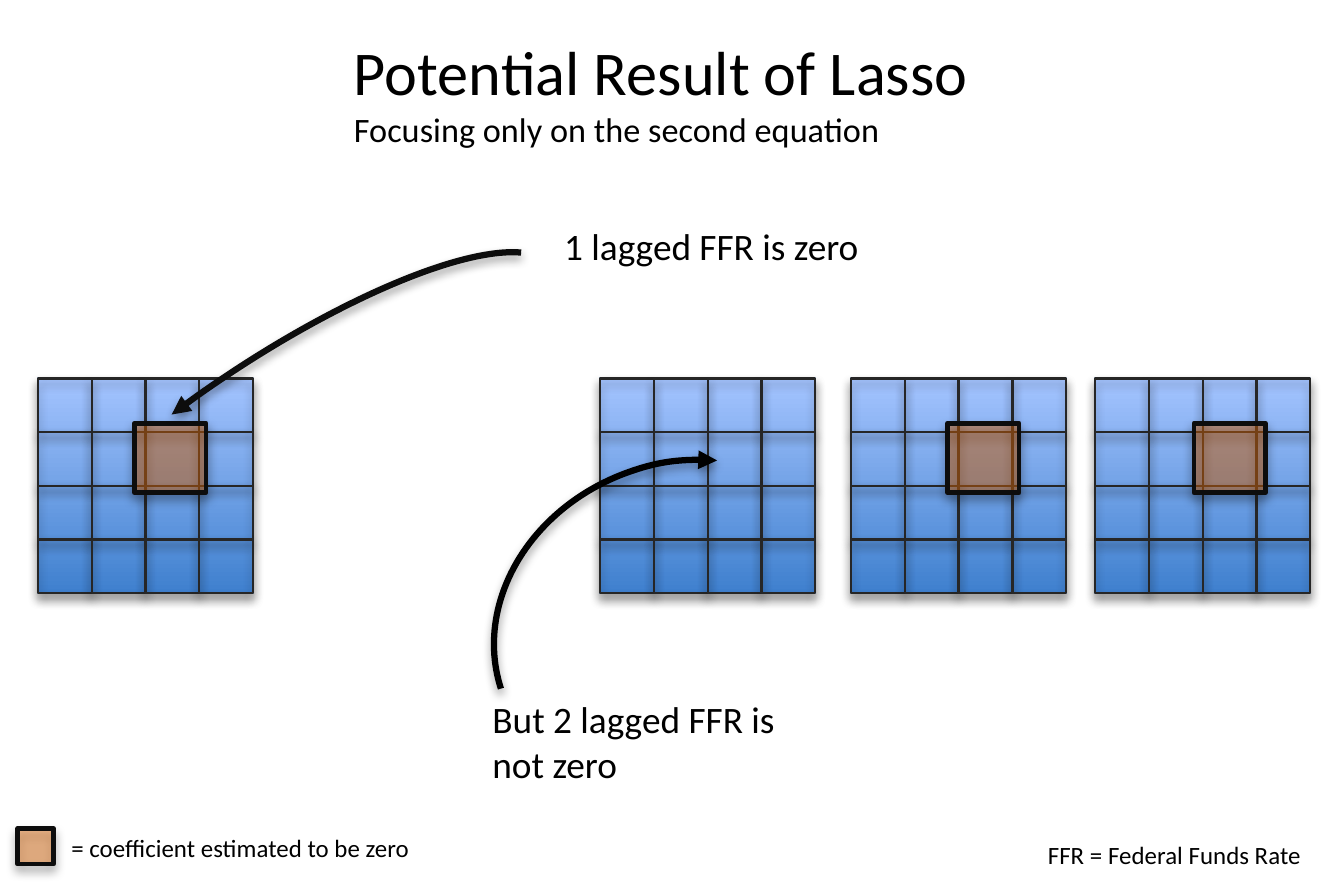
from lxml import etree
from pptx import Presentation
from pptx import util as u
from pptx.dml.color import RGBColor
from pptx.enum import shapes, text
from pptx.oxml.ns import qn

COLORS = {
    "text": "000000",
    "grid_low": "3F80CE",
    "grid_high": "A4C4FF",
    "grid_edge": "4B7EBC",
    "cell_edge": "262626",
    "zero_fill": "E46C0A",
    "zero_edge": "0D0D0D",
}
FONT = "Calibri"
CELL = 0.24
GRID_TOP = 1.69
GRID_LEFTS = [0.17, 2.68, 3.8, 4.89]
ZERO_LEFTS = [5.33, 4.23, 0.6]


def color(name):
    return RGBColor.from_string(COLORS[name])


def inches(*lengths):
    return [u.Inches(length) for length in lengths]


class SlideBuilder:
    def __init__(self, slide):
        self.slide = slide

    def outline(self, shape, edge, width, distance=1.8, alpha=35):
        shape.line.color.rgb = color(edge)
        shape.line.width = u.Pt(width)
        shape.shadow.inherit = False
        effects = shape._element.spPr.find(qn("a:effectLst"))
        shadow = etree.SubElement(
            effects, qn("a:outerShdw"), blurRad=str(u.Pt(3.1)),
            dist=str(u.Pt(distance)), dir="5400000", rotWithShape="0")
        tint = etree.SubElement(shadow, qn("a:srgbClr"), val=COLORS["text"])
        etree.SubElement(tint, qn("a:alpha"), val=str(alpha * 1000))

    def grid(self, left):
        members = self.slide.shapes.add_group_shape().shapes
        back = members.add_shape(
            shapes.MSO_SHAPE.RECTANGLE, *inches(left, GRID_TOP, 4 * CELL, 4 * CELL))
        back.fill.gradient()
        back.fill.gradient_angle = 90
        for stop, name in zip(back.fill.gradient_stops, ("grid_low", "grid_high")):
            stop.color.rgb = color(name)
        self.outline(back, "grid_edge", 0.75)
        for row in range(4):
            for column in range(4):
                cell = members.add_shape(
                    shapes.MSO_SHAPE.RECTANGLE,
                    *inches(left + column * CELL, GRID_TOP + row * CELL, CELL, CELL))
                cell.fill.background()
                self.outline(cell, "cell_edge", 0.75)

    def zero_marker(self, left, top, width, height):
        marker = self.slide.shapes.add_shape(
            shapes.MSO_SHAPE.RECTANGLE, *inches(left, top, width, height))
        marker.fill.solid()
        marker.fill.fore_color.rgb = color("zero_fill")
        tint = marker._element.spPr.find(qn("a:solidFill"))[0]
        etree.SubElement(tint, qn("a:alpha"), val="44000")
        self.outline(marker, "zero_edge", 1.5)

    def arc_arrow(self, bounds, rotation, angles, edge, arrow_end):
        arc = self.slide.shapes.add_shape(shapes.MSO_SHAPE.ARC, *inches(*bounds))
        arc.rotation = rotation
        for index, angle in enumerate(angles):
            arc.adjustments[index] = angle
        arc.fill.background()
        self.outline(arc, edge, 2, distance=1.6, alpha=38)
        line = arc._element.spPr.find(qn("a:ln"))
        etree.SubElement(line, qn(f"a:{arrow_end}"), type="triangle")

    def set_text(self, box, lines, wrap=True):
        frame = box.text_frame
        frame.text = "\n".join(content for content, size in lines)
        frame.word_wrap = wrap
        frame.auto_size = text.MSO_AUTO_SIZE.SHAPE_TO_FIT_TEXT
        frame.vertical_anchor = text.MSO_ANCHOR.TOP
        for para, (content, size) in zip(frame.paragraphs, lines):
            para.alignment = text.PP_ALIGN.LEFT
            for span in para.runs:
                span.font.name = FONT
                span.font.size = u.Pt(size)
                span.font.color.rgb = color("text")

    def title(self, bounds, lines):
        box = self.slide.shapes.title
        box.left, box.top, box.width, box.height = inches(*bounds)
        self.set_text(box, lines)

    def label(self, bounds, content, size, wrap=True):
        box = self.slide.shapes.add_textbox(*inches(*bounds))
        self.set_text(box, [(content, size)], wrap)


def main():
    deck = Presentation()
    deck.slide_width, deck.slide_height = inches(6, 3.97)
    page = SlideBuilder(deck.slides.add_slide(deck.slide_layouts[5]))

    page.title((1.48, 0.1, 3.05, 0.62), [
        ("Potential Result of Lasso", 20),
        ("Focusing only on the second equation", 11),
    ])
    for left in GRID_LEFTS:
        page.grid(left)
    for left in ZERO_LEFTS:
        page.zero_marker(left, 1.89, 0.32, 0.31)

    page.arc_arrow((-0.24, 1.61, 2.95, 0.8), 326.3, (139.43, 212.86),
                   "zero_edge", "headEnd")
    page.label((2.42, 0.95, 1.58, 0.3), "1 lagged FFR is zero", 12)
    page.arc_arrow((2.19, 2.07, 1.7, 1.46), 158.8, (1.39, 74.04),
                   "text", "tailEnd")
    page.label((2.1, 3.06, 1.58, 0.5), "But 2 lagged FFR is not zero", 12)

    page.label((4.58, 3.7, 1.34, 0.24), "FFR = Federal Funds Rate", 8, wrap=False)
    page.zero_marker(0.08, 3.7, 0.16, 0.16)
    page.label((0.22, 3.67, 1.81, 0.24), "= coefficient estimated to be zero", 8)

    deck.save("out.pptx")


if __name__ == "__main__":
    main()
